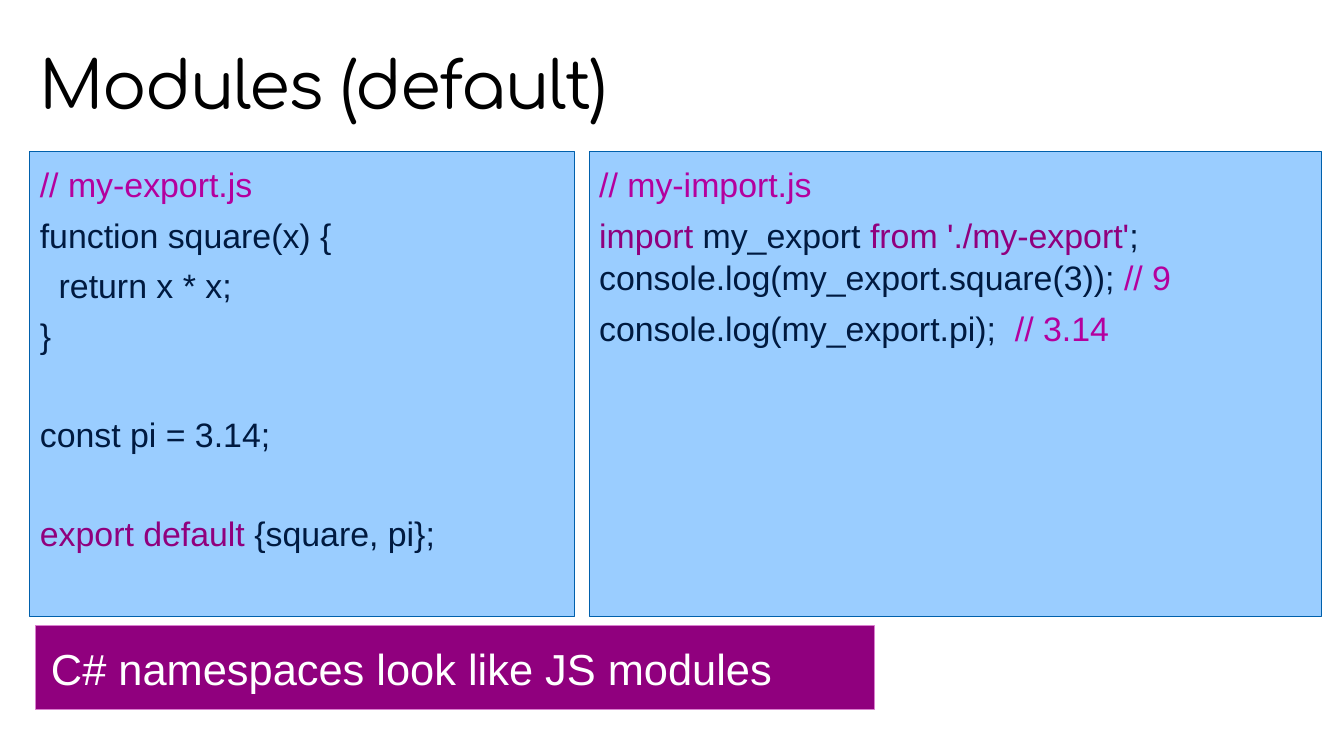
from dataclasses import dataclass

from pptx import Presentation
from pptx.dml.color import RGBColor
from pptx.enum.shapes import MSO_SHAPE as Shape
from pptx.enum.text import MSO_ANCHOR as Anchor, PP_ALIGN as Align
from pptx.util import Cm, Pt

BLACK = RGBColor(0x00, 0x00, 0x00)
WHITE = RGBColor(0xFF, 0xFF, 0xFF)
SKY = RGBColor(0x9A, 0xCD, 0xFF)
BLUE = RGBColor(0x00, 0x60, 0xAC)
INK = RGBColor(0x00, 0x1A, 0x40)
COMMENT = RGBColor(0xB4, 0x00, 0x9E)
PURPLE = RGBColor(0x90, 0x00, 0x7E)
PINK = RGBColor(0xD9, 0x7F, 0xCE)


@dataclass(frozen=True)
class Span:
    text: str
    color: RGBColor = INK
    spacing: float = 0


@dataclass(frozen=True)
class Line:
    spans: tuple[Span, ...]
    before: float = 11
    indent: float = 0


@dataclass(frozen=True)
class Style:
    size: float
    inset: float
    font: str = "Arial"
    anchor: Anchor = Anchor.TOP
    wrap: bool = True
    leading: float = 1.05
    fill: RGBColor | None = None
    border: RGBColor | None = None


@dataclass(frozen=True)
class Block:
    left: float
    top: float
    width: float
    height: float
    style: Style
    lines: tuple[Line, ...]


def set_all(target, values: dict) -> None:
    for name, value in values.items():
        setattr(target, name, value)


def write_line(para, line: Line, style: Style) -> None:
    set_all(para, {
        "alignment": Align.LEFT,
        "line_spacing": style.leading,
        "space_before": Pt(line.before),
    })
    if line.indent:
        para._p.get_or_add_pPr().set("marL", str(Cm(line.indent)))
    for span in line.spans:
        run = para.add_run()
        run.text = span.text
        set_all(run.font, {"name": style.font, "size": Pt(style.size)})
        run.font.color.rgb = span.color
        if span.spacing:
            run._r.get_or_add_rPr().set("spc", str(round(span.spacing * 100)))


def draw_block(page, block: Block) -> None:
    style = block.style
    place = [Cm(v) for v in (block.left, block.top, block.width, block.height)]
    if style.fill is None:
        box = page.shapes.add_textbox(*place)
    else:
        box = page.shapes.add_shape(Shape.RECTANGLE, *place)
        box.shadow.inherit = False
        box.fill.solid()
        box.fill.fore_color.rgb = style.fill
        box.line.color.rgb = style.border
        box.line.width = Pt(1)
    frame = box.text_frame
    set_all(frame, {
        "word_wrap": style.wrap,
        "vertical_anchor": style.anchor,
        **{f"margin_{side}": Cm(style.inset)
           for side in ("left", "top", "right", "bottom")},
    })
    for index, line in enumerate(block.lines):
        para = frame.add_paragraph() if index else frame.paragraphs[0]
        write_line(para, line, style)


HEADING = Style(94, 0.48, font="Comfortaa", anchor=Anchor.MIDDLE, leading=0.95)
CODE = Style(48.4, 0.51, fill=SKY, border=BLUE)
BANNER = Style(62, 0.79, anchor=Anchor.MIDDLE, wrap=False,
               fill=PURPLE, border=PINK)

LEFT, CODE_TOP, CODE_HEIGHT = 1.5, 7.65, 23.39
SECTION_GAP = 80

EXPORT_CODE = (
    Line((Span("// my-export.js", COMMENT),)),
    Line((Span("function square(x) {"),)),
    Line((Span("return x * x;"),), indent=0.95),
    Line((Span("}"),)),
    Line((Span("const pi = 3.14;"),), before=SECTION_GAP),
    Line((Span("export default", PURPLE), Span(" {square, pi};")),
         before=SECTION_GAP),
)
IMPORT_CODE = (
    Line((Span("// my-import.js", COMMENT),)),
    Line((Span("import", PURPLE), Span(" my_export "),
          Span("from './my-export'", PURPLE),
          Span("; console.log(my_export.square(3)); "),
          Span("// 9", COMMENT))),
    Line((Span("console.log(my_export.pi);"), Span(" ", spacing=13.45),
          Span("// 3.14", COMMENT))),
)

BLOCKS = (
    Block(LEFT, 1.63, 64.77, 5.56, HEADING,
          (Line((Span("Modules (default)", BLACK, -2),), before=0),)),
    Block(LEFT, CODE_TOP, 27.46, CODE_HEIGHT, CODE, EXPORT_CODE),
    Block(1.78, 31.5, 42.27, 4.24, BANNER,
          (Line((Span("C# namespaces look like JS modules", WHITE),),
                before=0),)),
    Block(29.69, CODE_TOP, 36.91, CODE_HEIGHT, CODE, IMPORT_CODE),
)


def main() -> None:
    deck = Presentation()
    set_all(deck, {"slide_width": Cm(67.74), "slide_height": Cm(38.1)})
    page = deck.slides.add_slide(deck.slide_layouts[6])
    for block in BLOCKS:
        draw_block(page, block)
    deck.save("out.pptx")


if __name__ == "__main__":
    main()
